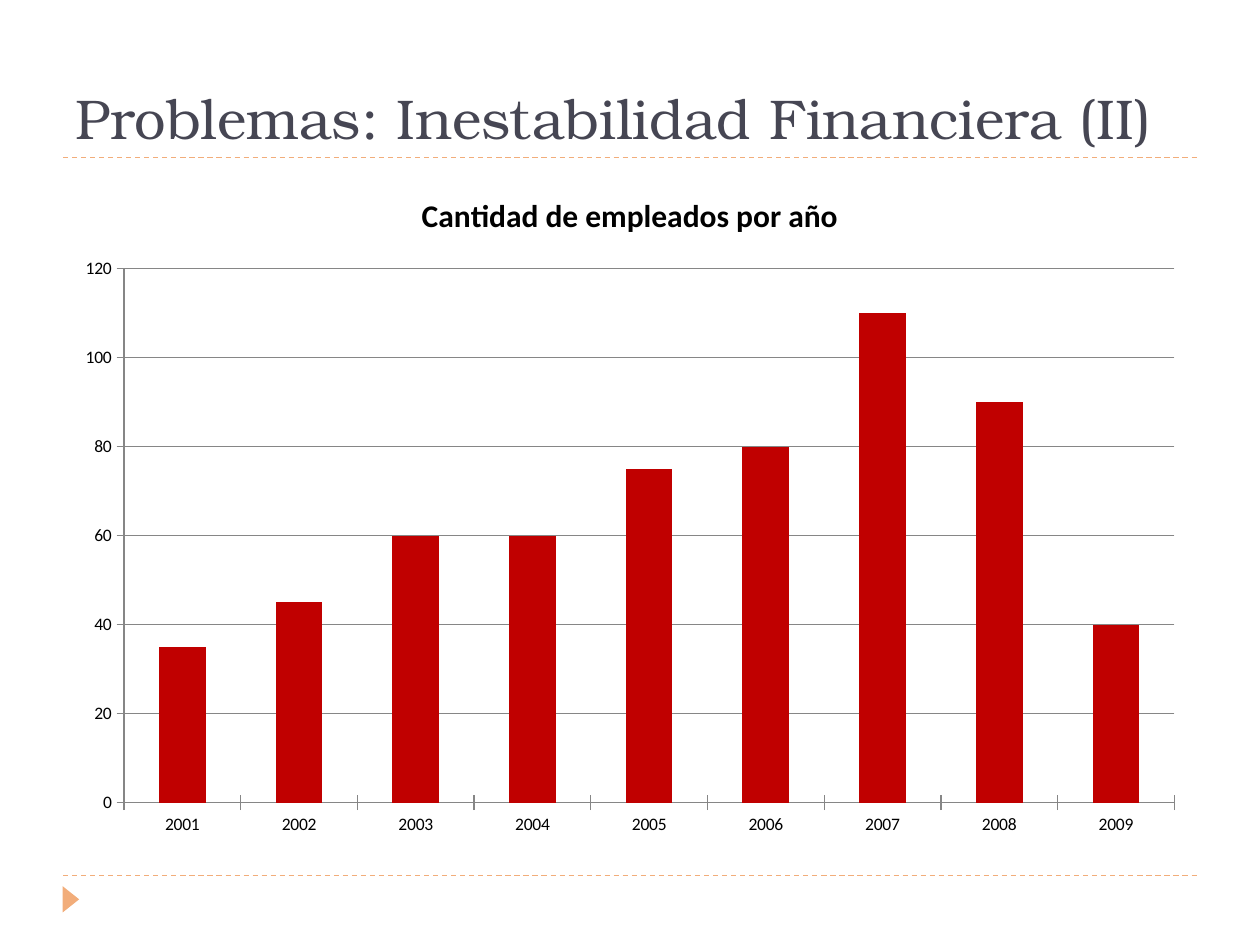
import pptx
import pptx.chart.data
import pptx.dml.color
import pptx.enum.chart
import pptx.enum.dml
import pptx.enum.shapes
import pptx.enum.text
import pptx.util
from lxml import etree

Pt = pptx.util.Pt
PEACH, SLATE, RED, GREY, BLACK = "F2AD7A", "464653", "C00000", "868686", "000000"
A = "{http://schemas.openxmlformats.org/drawingml/2006/main}"


def tint(hue):
    return pptx.dml.color.RGBColor.from_string(hue)


def apply(part, values):
    for name, value in values.items():
        setattr(part, name, value)


def paint(fill, hue):
    fill.solid()
    fill.fore_color.rgb = tint(hue)


def style(font, hue, **values):
    apply(font, values)
    font.color.rgb = tint(hue)


def rule(slide, left, top, width):
    line = slide.shapes.add_connector(
        pptx.enum.shapes.MSO_CONNECTOR.STRAIGHT,
        Pt(left), Pt(top), Pt(left + width), Pt(top))
    apply(line.line, {"width": Pt(0.75),
                      "dash_style": pptx.enum.dml.MSO_LINE.DASH})
    line.line.color.rgb = tint(PEACH)
    etree.SubElement(line._element.spPr, A + "effectLst")


def header(slide, left, top, width, height):
    # Title, resting on a dashed rule
    title = slide.shapes.title
    apply(title, {"left": Pt(left), "top": Pt(top),
                  "width": Pt(width), "height": Pt(height)})
    frame = title.text_frame
    frame.text = "Problemas: Inestabilidad Financiera (II)"
    apply(frame, {"word_wrap": True,
                  "auto_size": pptx.enum.text.MSO_AUTO_SIZE.NONE,
                  "vertical_anchor": pptx.enum.text.MSO_ANCHOR.BOTTOM})
    para = frame.paragraphs[0]
    para.alignment = pptx.enum.text.PP_ALIGN.LEFT
    style(para.runs[0].font, SLATE, name="TeX Gyre Bonum", size=Pt(32))
    rule(slide, left, top + height, width)


def staff(slide, left, top, width, height):
    # Column chart of employees per year
    data = pptx.chart.data.CategoryChartData()
    data.categories = [str(year) for year in range(2001, 2010)]
    data.add_series("Series 1", (35, 45, 60, 60, 75, 80, 110, 90, 40))
    chart = slide.shapes.add_chart(
        pptx.enum.chart.XL_CHART_TYPE.COLUMN_CLUSTERED,
        Pt(left), Pt(top), Pt(width), Pt(height), data).chart
    style(chart.font, BLACK, name="Calibri", size=Pt(10))
    chart.has_legend = False

    # Heading
    chart.has_title = True
    frame = chart.chart_title.text_frame
    frame.text = "Cantidad de empleados por año"
    style(frame.paragraphs[0].runs[0].font, BLACK,
          name="Calibri", size=Pt(18), bold=True)

    # Bars
    plot = chart.plots[0]
    apply(plot, {"gap_width": 150, "vary_by_categories": False})
    paint(plot.series[0].format.fill, RED)

    # Axes and grid
    tick = pptx.enum.chart.XL_TICK_MARK.CROSS
    for axis in (chart.category_axis, chart.value_axis):
        axis.major_tick_mark = tick
        axis.format.line.color.rgb = tint(GREY)
    apply(chart.value_axis, {"minimum_scale": 0, "maximum_scale": 120,
                             "major_unit": 20, "has_major_gridlines": True})
    chart.value_axis.major_gridlines.format.line.color.rgb = tint(GREY)


def footer(slide, left, top, width):
    # Dashed rule with a marker pointing right below it
    rule(slide, left, top, width)
    mark = slide.shapes.add_shape(
        pptx.enum.shapes.MSO_SHAPE.ISOSCELES_TRIANGLE,
        Pt(left - 3), Pt(top + 8.8), Pt(15), Pt(9.4))
    mark.rotation = 90
    mark.shadow.inherit = False
    paint(mark.fill, PEACH)
    mark.line.fill.background()


def main():
    deck = pptx.Presentation()
    apply(deck, {"slide_width": Pt(720), "slide_height": Pt(540)})
    slide = deck.slides.add_slide(deck.slide_layouts.get_by_name("Title Only"))
    left, width = 36, 648
    footer(slide, left, 500.4, width)
    header(slide, left, 12, width, 78)
    staff(slide, left, 96, width, 388.8)
    deck.save("out.pptx")


if __name__ == "__main__":
    main()
